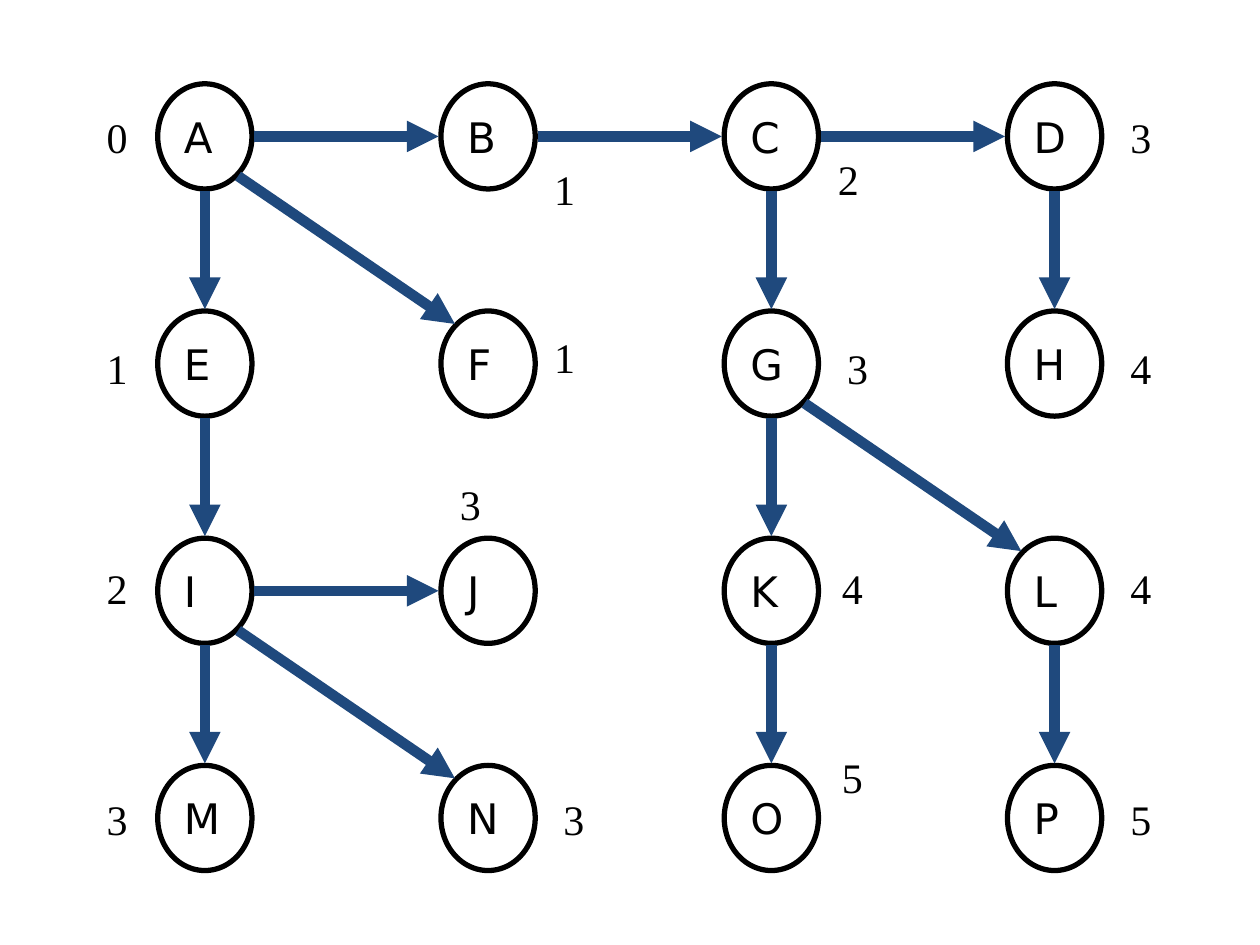
from pptx import Presentation
from pptx.dml.color import RGBColor
from pptx.enum.shapes import MSO_CONNECTOR, MSO_SHAPE
from pptx.enum.text import MSO_ANCHOR, MSO_AUTO_SIZE, PP_ALIGN
from pptx.oxml.ns import qn
from pptx.util import Cm, Pt
from lxml import etree

GRID = ["ABCD", "EFGH", "IJKL", "MNOP"]
EDGES = "AB BC CD AE AF CG DH EI GK GL IJ IM IN KO LP".split()
# Distance from A, then left and top of the label in cm
LABELS = {
    "A": ("0", 1.9, 2.12), "B": ("1", 10.92, 3.18),
    "C": ("2", 16.64, 2.96), "D": ("3", 22.54, 2.12),
    "E": ("1", 1.9, 6.77), "F": ("1", 10.92, 6.56),
    "G": ("3", 16.83, 6.77), "H": ("4", 22.54, 6.77),
    "I": ("2", 1.9, 11.22), "J": ("3", 9.02, 9.53),
    "K": ("4", 16.72, 11.22), "L": ("4", 22.54, 11.22),
    "M": ("3", 1.9, 15.88), "N": ("3", 11.11, 15.88),
    "O": ("5", 16.72, 15.03), "P": ("5", 22.54, 15.88),
}
FIRST_X, FIRST_Y, STEP_X, STEP_Y = 4.13, 2.75, 5.71, 4.58
NODE_W, NODE_H = 1.9, 2.12
REACH_X, REACH_Y = 1.0, 1.1       # centre to arrow end, straight
DIAGONAL_X, DIAGONAL_Y = 0.67, 0.8  # centre to arrow end, diagonal
BLACK, BLUE = "000000", "1F497D"


def color(value):
    """Turn a hex string into a colour."""
    return RGBColor.from_string(value)


def write(shape, text, font):
    """Put left-aligned 24 pt text in a shape without wrapping."""
    frame = shape.text_frame
    frame.word_wrap = False
    paragraph = frame.paragraphs[0]
    paragraph.alignment = PP_ALIGN.LEFT
    run = paragraph.add_run()
    run.text = text
    run.font.name = font
    run.font.size = Pt(24)
    run.font.color.rgb = color(BLACK)
    return frame


def add_node(slide, name, x, y):
    """Draw a graph node centred on x, y."""
    node = slide.shapes.add_shape(
        MSO_SHAPE.OVAL, Cm(x - NODE_W / 2), Cm(y - NODE_H / 2),
        Cm(NODE_W), Cm(NODE_H))
    node.shadow.inherit = False
    node.fill.background()
    node.line.color.rgb = color(BLACK)
    node.line.width = Pt(3)
    write(node, name, "DejaVu Sans").vertical_anchor = MSO_ANCHOR.MIDDLE


def add_edge(slide, start, end):
    """Draw an arrow between the rims of two nodes."""
    across, down = end[0] > start[0], end[1] > start[1]
    if across and down:
        dx, dy = DIAGONAL_X, DIAGONAL_Y
    else:
        dx, dy = across * REACH_X, down * REACH_Y
    line = slide.shapes.add_connector(
        MSO_CONNECTOR.STRAIGHT, Cm(start[0] + dx), Cm(start[1] + dy),
        Cm(end[0] - dx), Cm(end[1] - dy))
    line.line.color.rgb = color(BLUE)
    line.line.width = Pt(6)
    etree.SubElement(line.line._get_or_add_ln(), qn("a:tailEnd"), type="triangle")
    etree.SubElement(line._element.spPr, qn("a:effectLst"))


def add_label(slide, text, left, top):
    """Write a distance next to its node."""
    box = slide.shapes.add_textbox(Cm(left), Cm(top), Cm(0.93), Cm(1.27))
    write(box, text, "Times New Roman").auto_size = MSO_AUTO_SIZE.SHAPE_TO_FIT_TEXT


prs = Presentation()
prs.slide_width, prs.slide_height = Cm(25.4), Cm(19.05)
slide = prs.slides.add_slide(prs.slide_layouts[6])

centres = {name: (FIRST_X + col * STEP_X, FIRST_Y + row * STEP_Y)
           for row, names in enumerate(GRID) for col, name in enumerate(names)}
for name, (x, y) in centres.items():
    add_node(slide, name, x, y)
for source, target in EDGES:
    add_edge(slide, centres[source], centres[target])
for label in LABELS.values():
    add_label(slide, *label)

prs.save("out.pptx")
